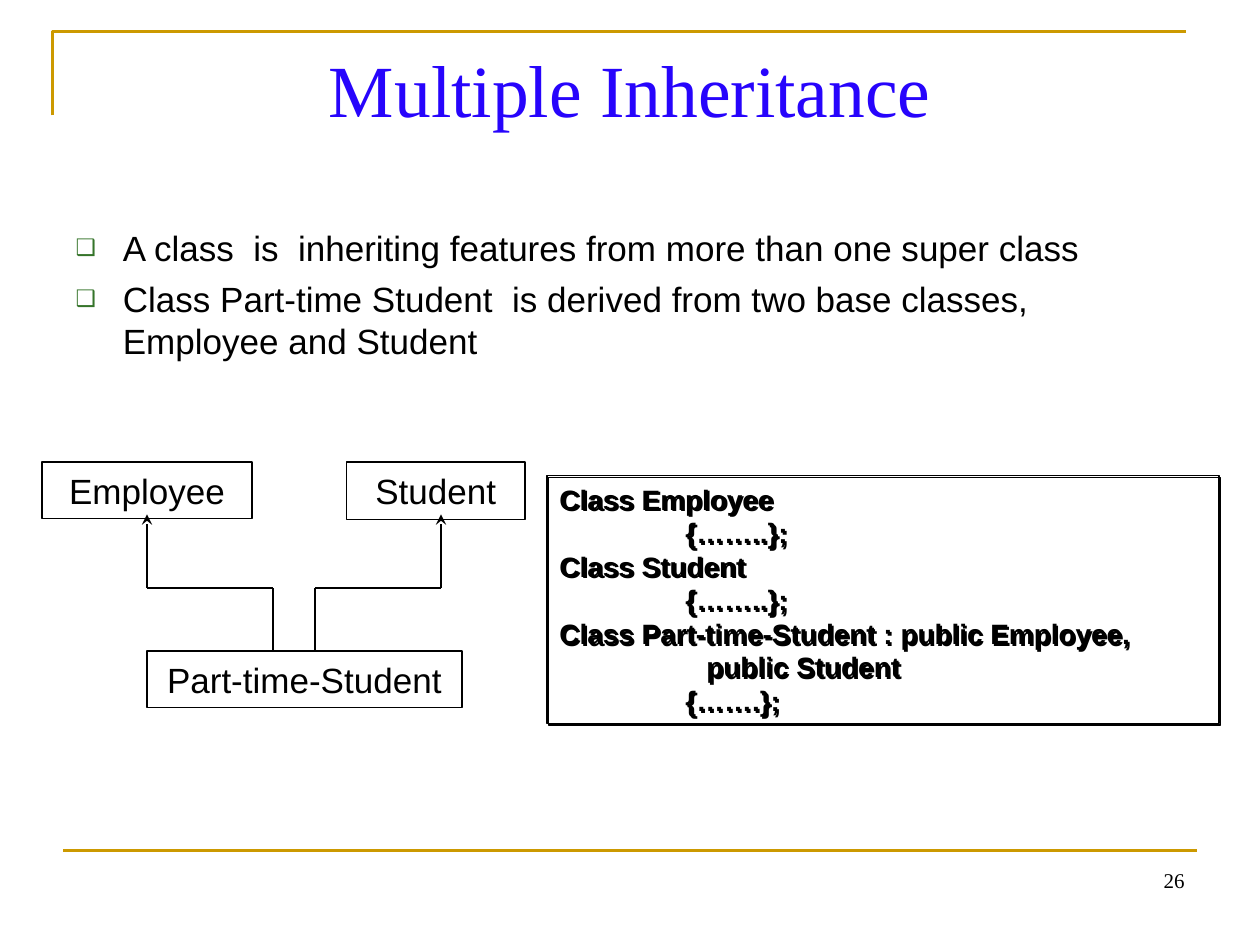
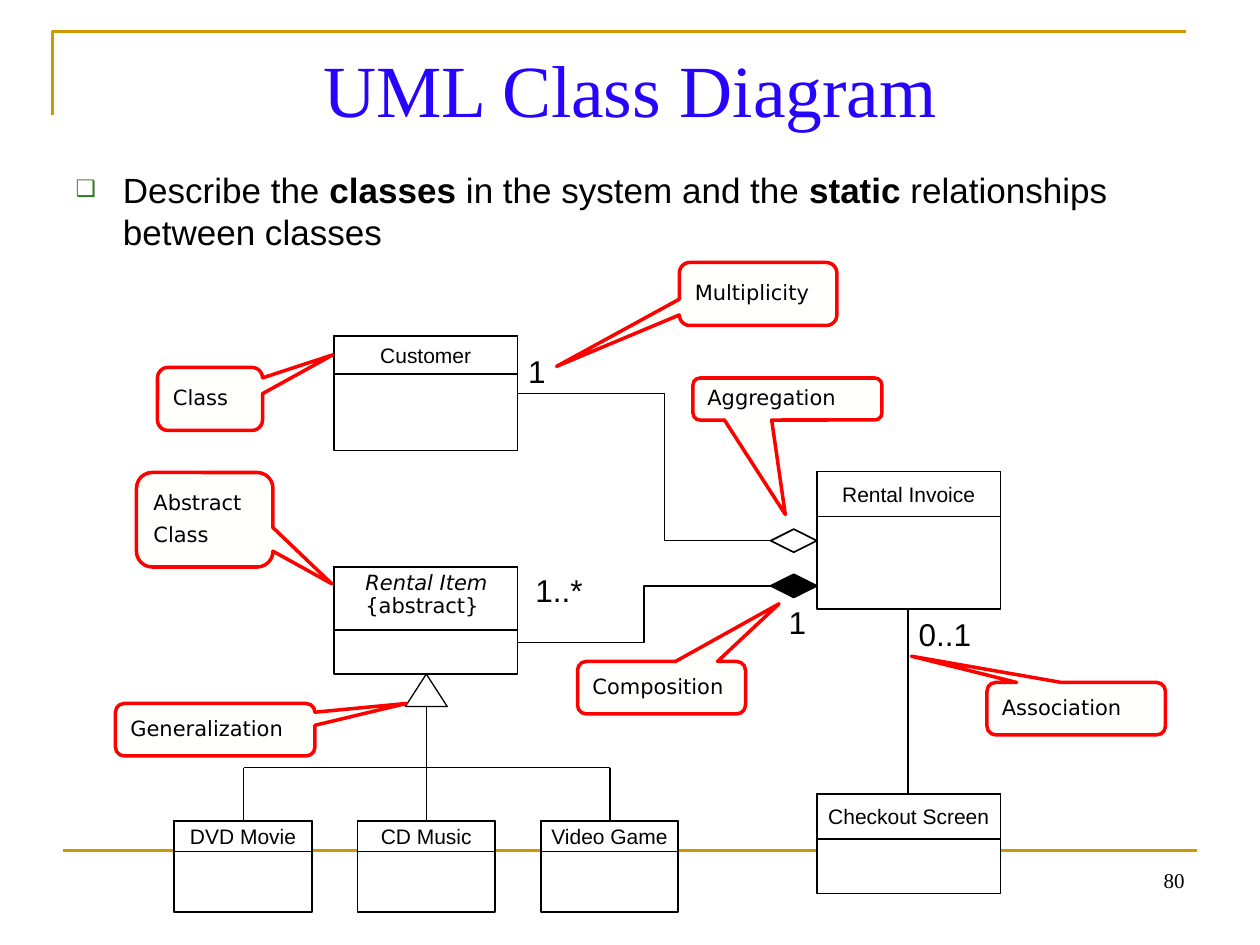
from dataclasses import dataclass
from typing import Any, NamedTuple

import lxml.etree
import pptx
import pptx.dml.color
import pptx.enum.shapes
import pptx.enum.text
import pptx.oxml.ns
import pptx.util

SHAPES = pptx.enum.shapes.MSO_SHAPE
ANCHOR = pptx.enum.text.MSO_ANCHOR
ALIGN = pptx.enum.text.PP_ALIGN
COLUMNS, ROWS = 120, 90
CELL = pptx.util.Inches(10) / COLUMNS


@dataclass(frozen=True)
class Theme:
    title_color: str = "2704FC"
    ink: str = "000000"
    paper: str = "FFFFFF"
    gold: str = "CC9900"
    bullet: str = "35742A"
    callout_fill: str = "FFFFFB"
    callout_line: str = "FF0000"
    serif: str = "Times New Roman"
    sans: str = "Arial"
    note: str = "DejaVu Sans"
    title_size: int = 42
    body_size: int = 20
    multiplicity_size: int = 18
    code_size: int = 16
    small_size: int = 12
    thin: float = 0.75
    medium: float = 1
    frame: float = 1.5
    thick: float = 2


THEME = Theme()


class Point(NamedTuple):
    column: float
    row: float


class Area(NamedTuple):
    column: float
    row: float
    columns: float
    rows: float


class Span(NamedTuple):
    text: str
    bold: bool = False
    italic: bool = False


class Style(NamedTuple):
    font: str
    size: float
    color: str = THEME.ink
    align: Any = ALIGN.LEFT
    leading: float = 1.0
    gap: float = 0


class ClassCard(NamedTuple):
    name: str
    area: Area
    header_rows: float


class Callout(NamedTuple):
    text: str
    area: Area
    tip: Point


class Multiplicity(NamedTuple):
    text: str
    corner: Point


TITLE = Style(THEME.serif, THEME.title_size, THEME.title_color, ALIGN.CENTER)
BODY = Style(THEME.sans, THEME.body_size, gap=5)
NODE = Style(THEME.sans, THEME.body_size, align=ALIGN.CENTER)
CODE = Style(THEME.sans, THEME.code_size)
CARD = Style(THEME.sans, THEME.small_size, align=ALIGN.CENTER)
ABSTRACT = Style(THEME.note, THEME.small_size, leading=0.5, gap=6)
NOTE = Style(THEME.note, THEME.small_size, leading=0.89, gap=6)
COUNT = Style(THEME.sans, THEME.multiplicity_size)
PAGE_NUMBER = Style(THEME.serif, THEME.small_size, align=ALIGN.RIGHT)


def grid(*cells: float) -> list[int]:
    """Turn grid cells into slide lengths."""
    return [round(cell * CELL) for cell in cells]


def rgb(color: str) -> pptx.dml.color.RGBColor:
    return pptx.dml.color.RGBColor.from_string(color)


def assign(target: Any, values: dict[str, Any]) -> None:
    for name, value in values.items():
        setattr(target, name, value)


def add_element(parent: Any, tag: str, **attributes: str) -> Any:
    return lxml.etree.SubElement(parent, pptx.oxml.ns.qn(tag), attributes)


def write(frame: Any, paragraphs: list[list[Span]], style: Style, bullets: bool = False) -> None:
    for index, spans in enumerate(paragraphs):
        para = frame.paragraphs[0] if index == 0 else frame.add_paragraph()
        if bullets:
            add_bullet(para)
        assign(para, {
            "alignment": style.align,
            "line_spacing": style.leading,
            "space_before": pptx.util.Pt(style.gap if index else 0),
        })
        for span in spans:
            run = para.add_run()
            run.text = span.text
            assign(run.font, {
                "name": style.font,
                "size": pptx.util.Pt(style.size),
                "bold": span.bold,
                "italic": span.italic,
            })
            run.font.color.rgb = rgb(style.color)


def add_bullet(para: Any) -> None:
    properties = para._p.get_or_add_pPr()
    hang = grid(4.5)[0]
    properties.set("marL", str(hang))
    properties.set("indent", str(-hang))
    color = add_element(properties, "a:buClr")
    add_element(color, "a:srgbClr", val=THEME.bullet)
    add_element(properties, "a:buSzPct", val="65000")
    add_element(properties, "a:buChar", char="❑")


def set_margins(frame: Any, left: float, top: float, right: float) -> None:
    vertical = pptx.util.Inches(top)
    assign(frame, {
        "margin_left": pptx.util.Inches(left), "margin_right": pptx.util.Inches(right),
        "margin_top": vertical, "margin_bottom": vertical,
    })


def add_box(page: Any, kind: Any, area: Area, fill: str | None = THEME.paper,
            line: str = THEME.ink, width: float = THEME.medium) -> Any:
    box = page.shapes.add_shape(kind, *grid(*area))
    box.shadow.inherit = False
    if fill:
        box.fill.solid()
        box.fill.fore_color.rgb = rgb(fill)
    else:
        box.fill.background()
    box.line.color.rgb = rgb(line)
    box.line.width = pptx.util.Pt(width)
    box.text_frame.word_wrap = True
    box.text_frame.vertical_anchor = ANCHOR.MIDDLE
    return box


def add_line(page: Any, start: Point, end: Point, color: str = THEME.ink,
             width: float = THEME.thin, arrow: bool = False, bend: float | None = None) -> Any:
    """Draw a straight line, or an elbow when a bend share is given."""
    kinds = pptx.enum.shapes.MSO_CONNECTOR
    kind = kinds.STRAIGHT if bend is None else kinds.ELBOW
    line = page.shapes.add_connector(kind, *grid(*start, *end))
    line.line.color.rgb = rgb(color)
    line.line.width = pptx.util.Pt(width)
    properties = line.element.spPr
    if arrow:
        add_element(properties.find(pptx.oxml.ns.qn("a:ln")), "a:tailEnd", type="stealth")
    if bend is not None:
        guides = next(properties.iter(pptx.oxml.ns.qn("a:avLst")))
        add_element(guides, "a:gd", name="adj1", fmla=f"val {round(bend * 100000)}")
    add_element(properties, "a:effectLst")
    return line


def add_route(page: Any, points: list[Point], arrow: bool = False) -> None:
    last = len(points) - 2
    for index, (start, end) in enumerate(zip(points, points[1:])):
        add_line(page, start, end, arrow=arrow and index == last)


def add_frame(page: Any, layout: Any) -> None:
    """Draw the gold lines and move them to the shared layout."""
    builder = page.shapes.build_freeform(*grid(5, 11), scale=1.0)
    builder.add_line_segments([grid(5, 3), grid(113, 3)], close=False)
    corner = builder.convert_to_shape()
    corner.shadow.inherit = False
    corner.fill.background()
    corner.line.color.rgb = rgb(THEME.gold)
    corner.line.width = pptx.util.Pt(THEME.frame)
    base = add_line(page, Point(6, 81), Point(114, 81), THEME.gold, THEME.frame)
    for shape in (corner, base):
        layout.shapes.element.append(shape.element)


def place(placeholder: Any, area: Area) -> Any:
    left, top, width, height = grid(*area)
    assign(placeholder, {"left": left, "top": top, "width": width, "height": height})
    frame = placeholder.text_frame
    assign(frame, {
        "word_wrap": True,
        "vertical_anchor": ANCHOR.TOP,
        "auto_size": pptx.enum.text.MSO_AUTO_SIZE.NONE,
    })
    set_margins(frame, 0.1, 0.05, 0.1)
    return frame


def add_page(deck: Any, title: str, number: str, body_row: float, body: list[list[Span]]) -> Any:
    page = deck.slides.add_slide(deck.slide_layouts[1])
    heading, content = page.placeholders
    write(place(heading, Area(6, 3.6, 108, 15)), [[Span(title)]], TITLE)
    write(place(content, Area(6, body_row, 108, 59.4)), body, BODY, bullets=True)
    box = page.shapes.add_textbox(*grid(86, 82, 28, 6.2))
    box.text_frame.word_wrap = True
    write(box.text_frame, [[Span(number)]], PAGE_NUMBER)
    return page


def add_code(page: Any) -> None:
    box = add_box(page, SHAPES.RECTANGLE, Area(52.1, 45.3, 64, 23.6), fill=None, width=THEME.thin)
    effects = box.element.spPr.find(pptx.oxml.ns.qn("a:effectLst"))
    shadow = add_element(effects, "a:outerShdw", blurRad="0", dist="17780", dir="2700000")
    add_element(shadow, "a:srgbClr", val=THEME.ink)
    lines = [
        ("Class Employee", 0), ("{……..};", 12),
        ("Class Student", 0), ("{……..};", 12),
        ("Class Part-time-Student : public Employee,", 0), ("public Student", 14), ("{…….};", 12),
    ]
    write(box.text_frame, [[Span(text, bold=True)] for text, _ in lines], CODE)
    for para, (_, indent) in zip(box.text_frame.paragraphs, lines):
        para._p.get_or_add_pPr().set("marL", str(grid(indent)[0]))


def add_card(page: Any, card: ClassCard) -> Any:
    """Draw a class box and return its header."""
    add_box(page, SHAPES.RECTANGLE, card.area)
    header = add_box(page, SHAPES.RECTANGLE, card.area._replace(rows=card.header_rows))
    set_margins(header.text_frame, 0, 0, 0)
    if card.name:
        write(header.text_frame, [[Span(card.name)]], CARD)
    return header


def add_callout(page: Any, callout: Callout) -> None:
    area, tip = callout.area, callout.tip
    box = add_box(page, SHAPES.ROUNDED_RECTANGULAR_CALLOUT, area,
                  THEME.callout_fill, THEME.callout_line, THEME.thick)
    box.adjustments[0] = (tip.column - area.column) / area.columns - 0.5
    box.adjustments[1] = (tip.row - area.row) / area.rows - 0.5
    box.text_frame.word_wrap = False
    write(box.text_frame, [[Span(line)] for line in callout.text.split("\n")], NOTE)


def add_multiplicity(page: Any, label: Multiplicity) -> None:
    columns = 1.8 * len(label.text)
    box = page.shapes.add_textbox(*grid(*label.corner, columns, 3.6))
    box.text_frame.word_wrap = True
    set_margins(box.text_frame, 0, 0, 0)
    write(box.text_frame, [[Span(label.text)]], COUNT)


def draw_inheritance(page: Any) -> None:
    nodes = {
        "Employee": Area(4, 44, 20, 5.4),
        "Student": Area(33, 44, 17, 5.5),
        "Part-time-Student": Area(14, 62, 30, 5.4),
    }
    for name, area in nodes.items():
        box = add_box(page, SHAPES.RECTANGLE, area, width=THEME.thin)
        write(box.text_frame, [[Span(name)]], NODE)
    for child, parent in ((26, 14), (30, 42)):
        add_route(page, [Point(child, 62), Point(child, 56), Point(parent, 56), Point(parent, 49)], True)
    add_code(page)


def draw_class_diagram(page: Any) -> None:
    wide, left, right = 17.5, 31.8, 77.8
    cards = [
        ClassCard(name, Area(16.6 + 17.45 * index, 78.2, 13.1, 8.7), 2.9)
        for index, name in enumerate(("DVD Movie", "CD Music", "Video Game"))
    ] + [
        ClassCard("Customer", Area(left, 32, wide, 10.9), 3.6),
        ClassCard("Rental Invoice", Area(right, 44.9, wide, 13.1), 4.3),
        ClassCard("Checkout Screen", Area(right, 75.6, wide, 9.5), 4.3),
    ]
    for card in cards:
        add_card(page, card)
    item = add_card(page, ClassCard("", Area(left, 54, wide, 10.2), 6))
    set_margins(item.text_frame, 0.25, 0.05, 0)
    write(item.text_frame, [[Span("Rental Item", italic=True)], [Span("{abstract}")]], ABSTRACT)

    for row, fill, end_row, bend in ((51.5, None, 37.5, 0.42), (55.8, THEME.ink, 61.2, 0.5)):
        add_box(page, SHAPES.DIAMOND, Area(73.4, row - 1.1, 4.4, 2.2), fill)
        add_line(page, Point(73.4, row), Point(left + wide, end_row), bend=bend)
    add_line(page, Point(86.5, 75.5), Point(86.5, 58.1), width=THEME.medium)
    add_route(page, [Point(23.2, 78.2), Point(23.2, 73.1), Point(58.1, 73.1), Point(58.1, 78.2)])
    add_line(page, Point(40.6, 78.2), Point(40.6, 64.2))
    add_box(page, SHAPES.FLOWCHART_EXTRACT, Area(38.6, 64.2, 4, 3.1), width=THEME.thin)

    for label in (
        Multiplicity("1", Point(50.3, 33.5)),
        Multiplicity("1..*", Point(51, 54.4)),
        Multiplicity("1", Point(75.1, 57.4)),
        Multiplicity("0..1", Point(87.5, 58.6)),
    ):
        add_multiplicity(page, label)
    for callout in (
        Callout("Association", Area(94, 65, 17, 5), Point(86.8, 62.5)),
        Callout("Class", Area(15, 35, 10, 6), Point(31.7, 33.8)),
        Callout("Abstract\nClass", Area(13, 45, 13, 9), Point(31.6, 55.6)),
        Callout("Aggregation", Area(66, 36, 18, 4), Point(74.8, 49)),
        Callout("Generalization", Area(11, 67, 19, 5), Point(38.7, 67)),
        Callout("Composition", Area(55, 63, 16, 5), Point(74.2, 57.5)),
        Callout("Multiplicity", Area(64.7, 25, 15, 6), Point(53, 34.9)),
    ):
        add_callout(page, callout)


def main() -> None:
    deck = pptx.Presentation()
    deck.slide_width, deck.slide_height = grid(COLUMNS, ROWS)
    inheritance = add_page(deck, "Multiple Inheritance", "26", 21, [
        [Span("A class  is  inheriting features from more than one super class")],
        [Span("Class Part-time Student  is derived from two base classes, Employee and Student")],
    ])
    add_frame(inheritance, deck.slide_layouts[1])
    draw_inheritance(inheritance)
    diagram = add_page(deck, "UML Class Diagram", "80", 15.4, [[
        Span("Describe the "), Span("classes", bold=True), Span(" in the system and the "),
        Span("static", bold=True), Span(" relationships between classes"),
    ]])
    draw_class_diagram(diagram)
    deck.save("out.pptx")


if __name__ == "__main__":
    main()
